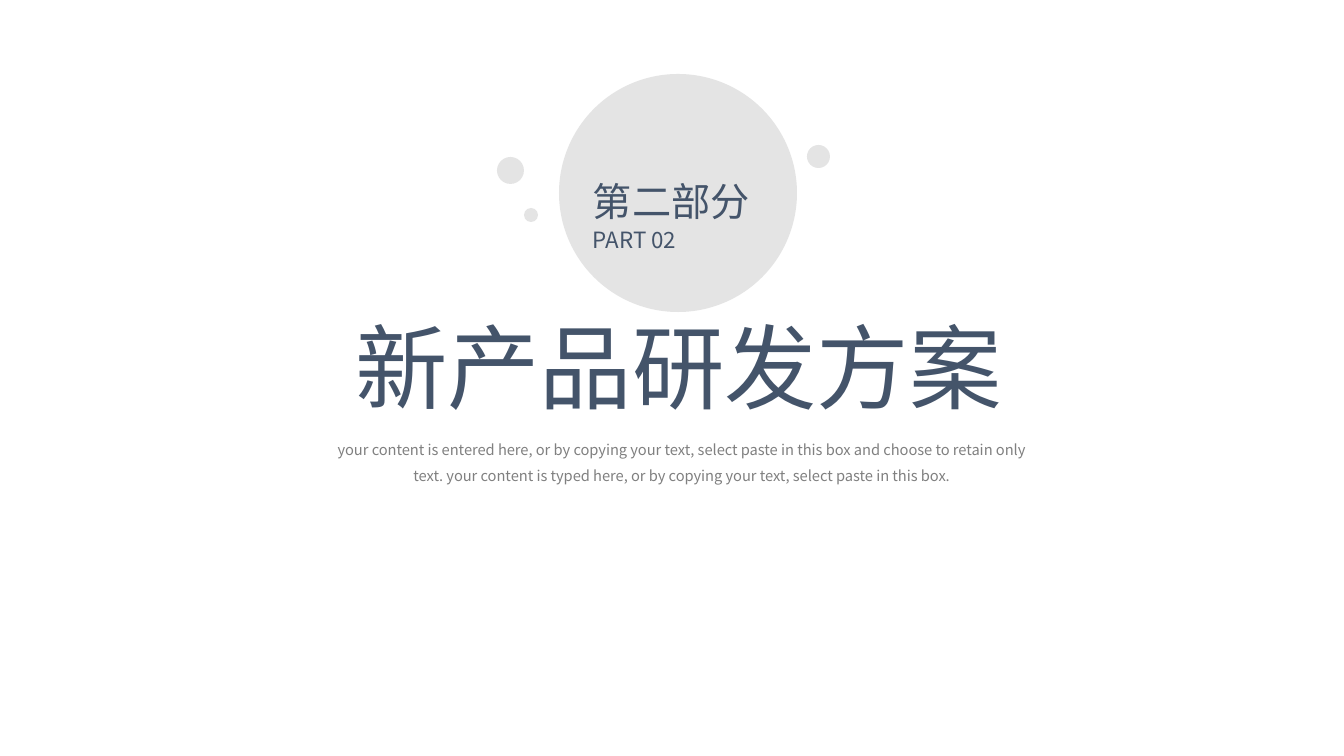
from lxml import etree
from pptx import Presentation
from pptx import util as u
from pptx.dml.color import RGBColor
from pptx.enum import shapes, text
from pptx.oxml import ns

PX = 914400 / 100.8
FONT = "Noto Sans CJK SC"
COLORS = {"bubble": "D9D9D9", "heading": "44546A", "caption": "808080"}
BUBBLES = [(559, 74, 238), (497, 157, 27), (524, 208, 14), (807, 145, 23)]


def px(value):
    return u.Emu(round(value * PX))


def place(shape, left, top, width, height):
    shape.left, shape.top = px(left), px(top)
    shape.width, shape.height = px(width), px(height)


def add_bubble(slide, left, top, diameter):
    bubble = slide.shapes.add_shape(
        shapes.MSO_SHAPE.FLOWCHART_CONNECTOR,
        px(left), px(top), px(diameter), px(diameter))
    bubble.shadow.inherit = False
    bubble.line.fill.background()
    bubble.fill.solid()
    bubble.fill.fore_color.rgb = RGBColor.from_string(COLORS["bubble"])
    color = bubble.fill._xPr.find(".//" + ns.qn("a:srgbClr"))
    etree.SubElement(color, ns.qn("a:alpha"), val="70000")


def write(shape, words, size, color, alignment, wrap=True, spacing=1.0):
    frame = shape.text_frame
    frame.text = words
    frame.word_wrap = wrap
    frame.auto_size = text.MSO_AUTO_SIZE.SHAPE_TO_FIT_TEXT
    frame.vertical_anchor = text.MSO_ANCHOR.TOP
    paragraph = frame.paragraphs[0]
    paragraph.alignment = alignment
    paragraph.line_spacing = spacing
    paragraph.space_before = u.Pt(0)
    run = paragraph.runs[0]
    run.font.size = u.Pt(size)
    run.font.name = FONT
    run.font.color.rgb = RGBColor.from_string(COLORS[color])
    latin = run.font._element.find(ns.qn("a:latin"))
    east_asian = etree.Element(ns.qn("a:ea"), typeface=FONT)
    latin.addnext(east_asian)


def add_label(slide, box, words, size):
    label = slide.shapes.add_textbox(*map(px, box))
    write(label, words, size, "heading", text.PP_ALIGN.JUSTIFY)


def main():
    presentation = Presentation()
    presentation.slide_width, presentation.slide_height = px(1344), px(756)
    slide = presentation.slides.add_slide(presentation.slide_layouts[0])

    for bubble in BUBBLES:
        add_bubble(slide, *bubble)
    add_label(slide, (583, 172, 199, 57), "第二部分", 28)
    add_label(slide, (583, 221, 196, 37), "PART 02", 16)

    title, caption = slide.placeholders
    place(title, 345, 305, 673, 122)
    write(title, "新产品研发方案", 66, "heading", text.PP_ALIGN.LEFT, wrap=False)
    place(caption, 325, 427, 714, 60)
    write(caption,
          "your content is entered here, or by copying your text, select paste "
          "in this box and choose to retain only text. your content is typed "
          "here, or by copying your text, select paste in this box.",
          10.5, "caption", text.PP_ALIGN.CENTER, spacing=1.5)

    presentation.save("out.pptx")


if __name__ == "__main__":
    main()
